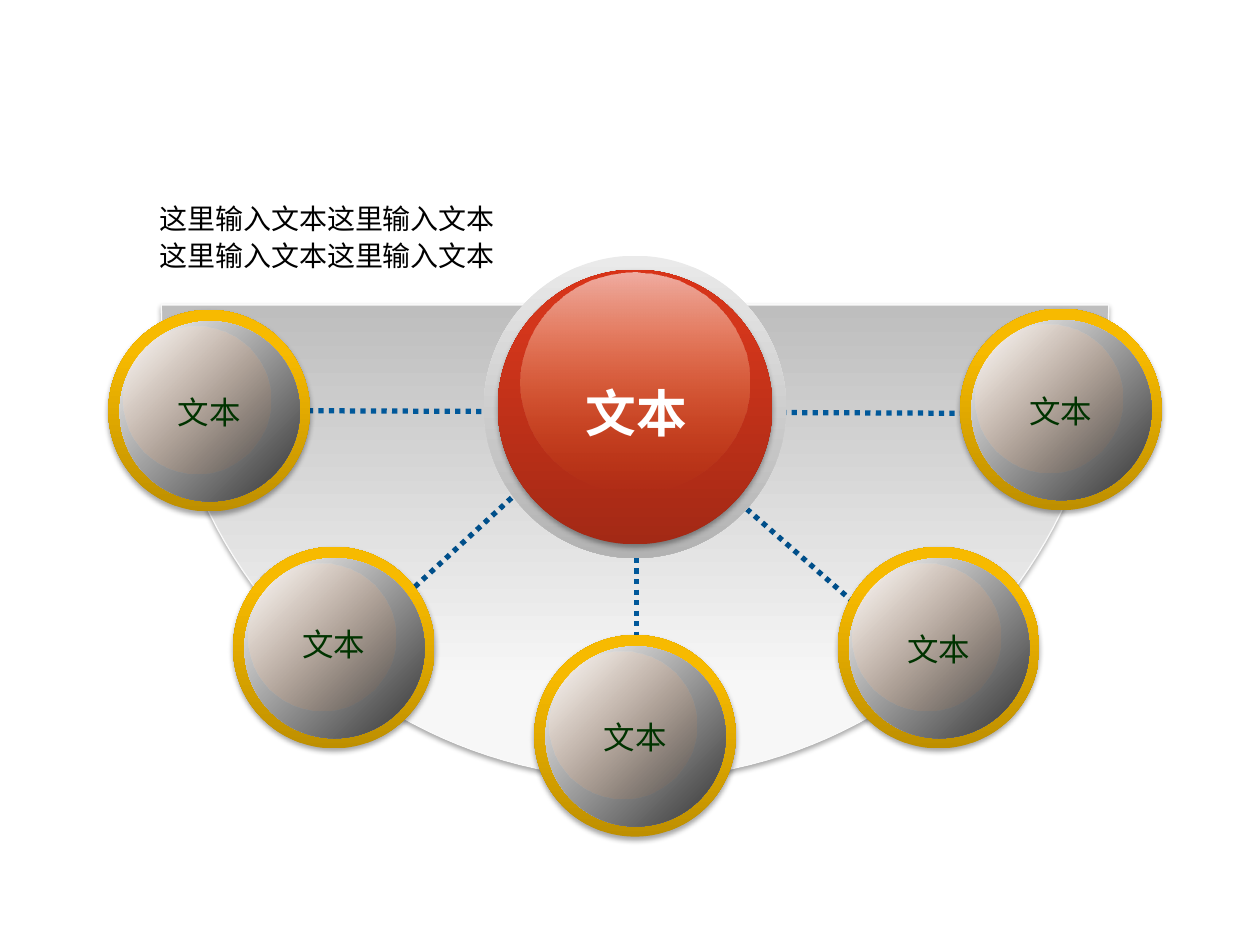
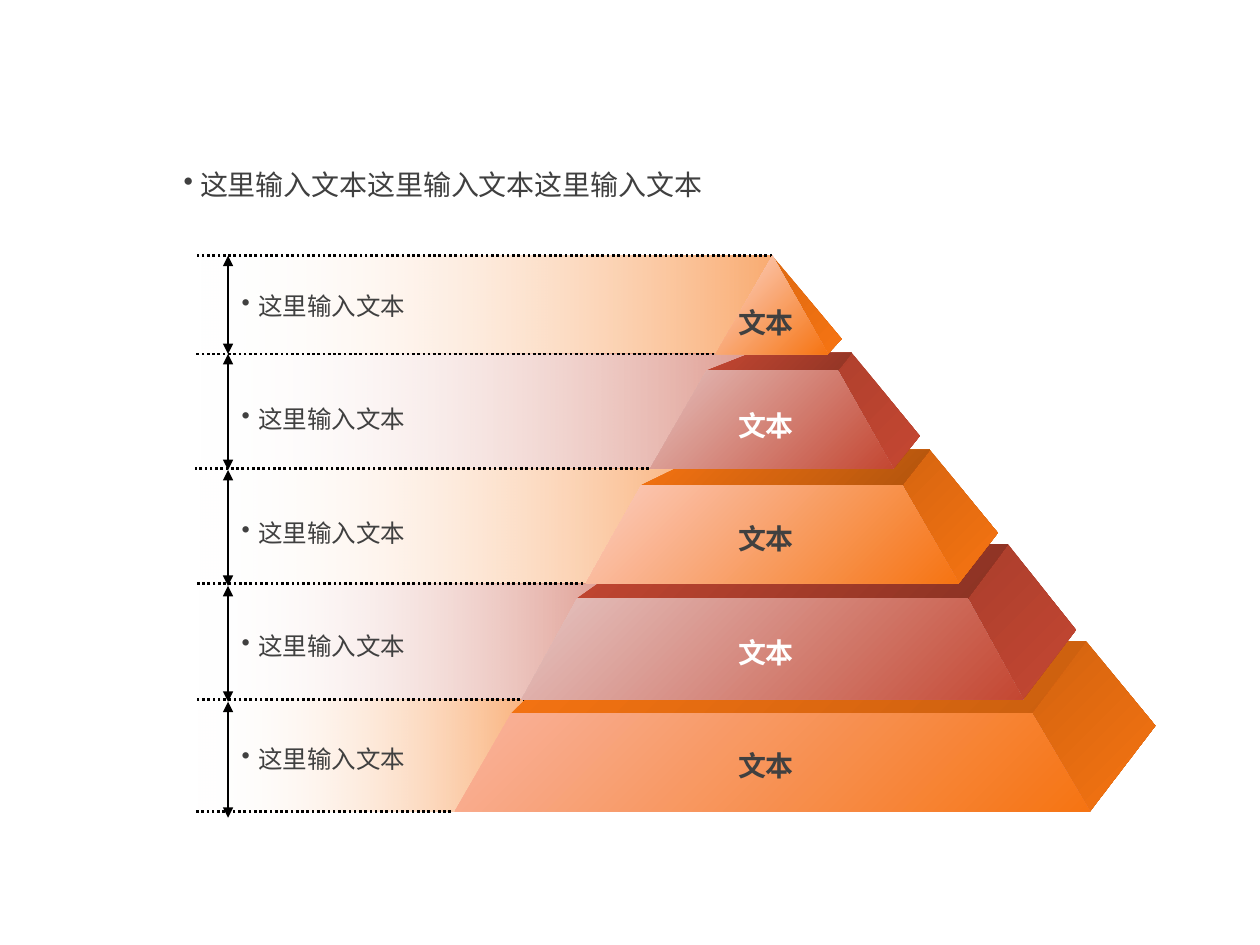
"""Build two diagram slides: a hub with five satellites and a five-tier pyramid."""
from dataclasses import dataclass
from math import cos, pi, sin

from lxml import etree
from pptx import Presentation
from pptx.dml.color import RGBColor
from pptx.enum.dml import MSO_LINE
from pptx.enum.shapes import MSO_CONNECTOR, MSO_SHAPE
from pptx.enum.text import MSO_ANCHOR, PP_ALIGN
from pptx.oxml.ns import qn
from pptx.util import Inches, Pt

OVAL, RECT = MSO_SHAPE.OVAL, MSO_SHAPE.RECTANGLE
STRAIGHT, DOTS = MSO_CONNECTOR.STRAIGHT, MSO_LINE.ROUND_DOT
LEFT, CENTER, MIDDLE = PP_ALIGN.LEFT, PP_ALIGN.CENTER, MSO_ANCHOR.MIDDLE


@dataclass(frozen=True)
class Theme:
    latin: str = "Arial"
    asian: str = "Noto Sans CJK KR"
    black: str = "000000"
    white: str = "FFFFFF"
    gray: str = "404040"
    green: str = "003300"
    blue: str = "00589A"
    navy: str = "004F8A"
    edge: str = "F9F9F9"
    orange: str = "F67412"
    red: str = "C44732"
    hub: int = 29
    ball: int = 18
    body: int = 16
    row: int = 14
    half: tuple = ((0, "BEBEBE", 100), (80, "F7F7F7", 100), (100, "F8F8F8", 100))
    ring: tuple = ((0, "EAEAEA", 100), (100, "B2B2B2", 100))
    core: tuple = ((0, "A32915", 100), (80, "D3361B", 100), (100, "D83318", 100))
    shine: tuple = ((0, "FFFFFF", 60), (100, "F67412", 0))
    gold: tuple = ((0, "BE8F00", 100), (80, "F7BA00", 100), (100, "F8BB00", 100))
    steel: tuple = ((0, "FFFFFF", 100), (100, "333333", 100))
    gloss: tuple = ((0, "FFFFFF", 40), (100, "F67412", 0))


def paint(shape, stops, angle, raised=False):
    shape.fill.background()
    shape.line.fill.background()
    shape.shadow.inherit = False
    props = shape._element.spPr
    grad = etree.Element(qn("a:gradFill"), rotWithShape="1")
    group = etree.SubElement(grad, qn("a:gsLst"))
    for pos, color, alpha in stops:
        stop = etree.SubElement(group, qn("a:gs"), pos=str(pos * 1000))
        tint = etree.SubElement(stop, qn("a:srgbClr"), val=color)
        etree.SubElement(tint, qn("a:alpha"), val=str(alpha * 1000))
    etree.SubElement(grad, qn("a:lin"), ang=str(angle * 60000), scaled="0")
    props.replace(props.find(qn("a:noFill")), grad)
    if raised:
        cast = etree.SubElement(
            props.find(qn("a:effectLst")), qn("a:outerShdw"), blurRad=str(Pt(3.1)),
            dist=str(Pt(1.8)), dir="5400000", rotWithShape="0")
        tint = etree.SubElement(cast, qn("a:srgbClr"), val=theme.black)
        etree.SubElement(tint, qn("a:alpha"), val="35000")


def rule(slide, ends, color, width, arrows=False):
    line = slide.shapes.add_connector(STRAIGHT, *map(Inches, ends))
    line.line.color.rgb = RGBColor.from_string(color)
    line.line.width = Pt(width)
    props = line._element.spPr
    if arrows:
        for tip in ("a:headEnd", "a:tailEnd"):
            etree.SubElement(props.find(qn("a:ln")), qn(tip), type="triangle")
    else:
        line.line.dash_style = DOTS
    etree.SubElement(props, qn("a:effectLst"))


theme = Theme()
deck = Presentation()
deck.slide_width, deck.slide_height = Inches(10), Inches(7.5)
wheel, tower = [deck.slides.add_slide(deck.slide_layouts[6]) for _ in range(2)]

arc = [(Inches(5.04 + 3.76 * cos(pi * i / 90)), Inches(2.42 + 3.76 * sin(pi * i / 90)))
       for i in range(91)]
path = wheel.shapes.build_freeform(*arc[0], scale=1.0)
path.add_line_segments(arc[1:], close=True)
bowl = path.convert_to_shape()
paint(bowl, theme.half, 90, True)
bowl.line.color.rgb = RGBColor.from_string(theme.edge)
bowl.line.width = Pt(0.75)

for ends, color in (
    ((4.92, 3.16, 2.41, 5.47), theme.navy),
    ((4.92, 3.16, 7.46, 5.38), theme.navy),
    ((5.05, 3.26, 5.05, 6.18), theme.blue),
    ((7.66, 3.28, 2.46, 3.26), theme.blue),
):
    rule(wheel, ends, color, 3)

discs = [
    (3.84, 2.03, 2.4, 2.4, theme.ring, 90, False),
    (3.95, 2.14, 2.18, 2.18, theme.core, 270, True),
    (4.13, 2.16, 1.82, 1.75, theme.shine, 90, False),
]
balls = [(0.86, 2.46, 1), (7.62, 2.45, 1), (4.24, 5.04, 1), (6.65, 4.34, 1), (1.85, 4.34, 0.7)]
for x, y, _ in balls:
    discs += [
        (x, y, 1.6, 1.6, theme.gold, 270, True),
        (x + 0.09, y + 0.09, 1.43, 1.43, theme.steel, 45, False),
        (x + 0.12, y + 0.13, 1.17, 1.17, theme.gloss, 45, False),
    ]
for *place, stops, angle, raised in discs:
    paint(wheel.shapes.add_shape(OVAL, *map(Inches, place)), stops, angle, raised)

levels = [2.03, 2.81, 3.72, 4.63, 5.55, 6.44]
bands = [6.13, 6.22, 5.72, 5.05, 4.3]
hues = [theme.orange, theme.red] * 2 + [theme.orange]
for i, (end, hue) in enumerate(zip(bands, hues)):
    place = 1.55, levels[i], end - 1.55, levels[i + 1] - levels[i]
    band = tower.shapes.add_shape(RECT, *map(Inches, place))
    paint(band, ((0, theme.white, 0), (100, hue, 60)), 0)
for y, end in zip(levels, [6.13, 5.67, 5.15, 4.63, 4.17, 3.58]):
    rule(tower, (end, y, 1.55, y), theme.black, 1.5)
marks = [2.03] + [2.81 + 0.92 * i for i in range(5)]
for top, base in zip(marks, marks[1:]):
    rule(tower, (1.81, top, 1.81, base), theme.black, 0.75, True)

fronts = [
    ((5.68, 2.81), (6.57, 2.81), (6.13, 2.03), (6.13, 2.03)),
    ((5.16, 3.72), (7.09, 3.72), (6.65, 2.94), (5.61, 2.94)),
    ((4.65, 4.63), (7.61, 4.63), (7.16, 3.85), (5.09, 3.85)),
    ((4.14, 5.55), (8.12, 5.55), (7.68, 4.75), (4.58, 4.75)),
    ((3.61, 6.44), (8.65, 6.44), (8.19, 5.66), (4.06, 5.66)),
]
backs = [
    ((6.13, 2.03), (6.13, 2.03), (6.68, 2.69)),
    ((5.97, 2.8), (6.76, 2.8), (7.3, 3.46)),
    ((5.67, 3.57), (7.38, 3.57), (7.92, 4.23)),
    ((5.19, 4.32), (8, 4.32), (8.54, 5)),
    ((4.64, 5.09), (8.62, 5.09), (9.17, 5.76)),
]
shades = [
    ("FCD8CF", "DE6910", None),
    ("E4C1BE", "B1402D", "923525"),
    ("FBCDC1", "D66510", "B2540D"),
    ("E5C5C3", "AB3E2C", "8A3223"),
    ("F9B39E", "D2630F", "CA5F0F"),
]
for front, back, shade, hue in reversed(list(zip(fronts, backs, shades, hues))):
    low, right, peak, left = front
    rear, far, tip = back
    light, dark, deep = shade
    faces = [((right, peak, far, tip), dark, hue), (front, light, hue)]
    if deep:
        faces.insert(1, ((left, peak, far, rear), hue, deep))
    for points, start, stop in faces:
        spots = [(Inches(x), Inches(y)) for x, y in points]
        path = tower.shapes.build_freeform(*spots[0], scale=1.0)
        path.add_line_segments(spots[1:], close=True)
        paint(path.convert_to_shape(), ((0, start, 100), (100, stop, 100)), 45)

word, phrase = "文本", "这里输入文本"
texts = [
    (wheel, (x + 0.11, y + 0.59, 1.38, 0.44), word, theme.ball, theme.green, "ball", space)
    for x, y, space in balls
]
texts += [
    (wheel, (4.03, 2.8, 2.04, 0.95), word, theme.hub, theme.white, "hub", 1),
    (wheel, (1.17, 1.52, 3.5, 0.69), "\n".join([phrase * 2] * 2),
     theme.body, theme.black, "plain", 1.1),
    (tower, (1.36, 1.28, 7.86, 0.37), phrase * 3, theme.body, theme.gray, "bullet", 1),
]
for i, hue in enumerate(hues):
    ink = theme.gray if hue == theme.orange else theme.white
    top = 3.19 + 0.9 * (i - 1) if i else 2.37
    texts += [
        (tower, (1.82, 2.26 + 0.9 * i, 1.6, 0.33), phrase, theme.row, theme.gray, "bullet", 1),
        (tower, (5.33, top, 1.5, 0.37), word, theme.body, ink, "tier", 1),
    ]

for slide, place, text, size, color, kind, space in texts:
    frame = slide.shapes.add_textbox(*map(Inches, place)).text_frame
    frame.word_wrap = True
    frame.vertical_anchor = MIDDLE
    frame.text = text
    for para in frame.paragraphs:
        if kind == "bullet":
            props = para._p.get_or_add_pPr()
            props.set("marL", str(Inches(0.13)))
            props.set("indent", str(Inches(-0.13)))
            etree.SubElement(props, qn("a:buChar"), char="•")
        para.alignment = LEFT if kind in ("bullet", "plain") else CENTER
        para.line_spacing = space
        for run in para.runs:
            font = run.font
            font.name = theme.asian if kind in ("ball", "hub") else theme.latin
            font.size = Pt(size)
            font.bold = kind in ("hub", "tier")
            font.color.rgb = RGBColor.from_string(color)
            props = run._r.get_or_add_rPr()
            asian = etree.Element(qn("a:ea"), typeface=theme.asian)
            props.find(qn("a:latin")).addnext(asian)
            if kind == "tier":
                glow = etree.Element(qn("a:effectLst"))
                cast = etree.SubElement(glow, qn("a:outerShdw"), dist=str(Pt(2)), dir="2700000")
                etree.SubElement(cast, qn("a:srgbClr"), val=theme.black)
                props.find(qn("a:solidFill")).addnext(glow)

deck.save("out.pptx")
